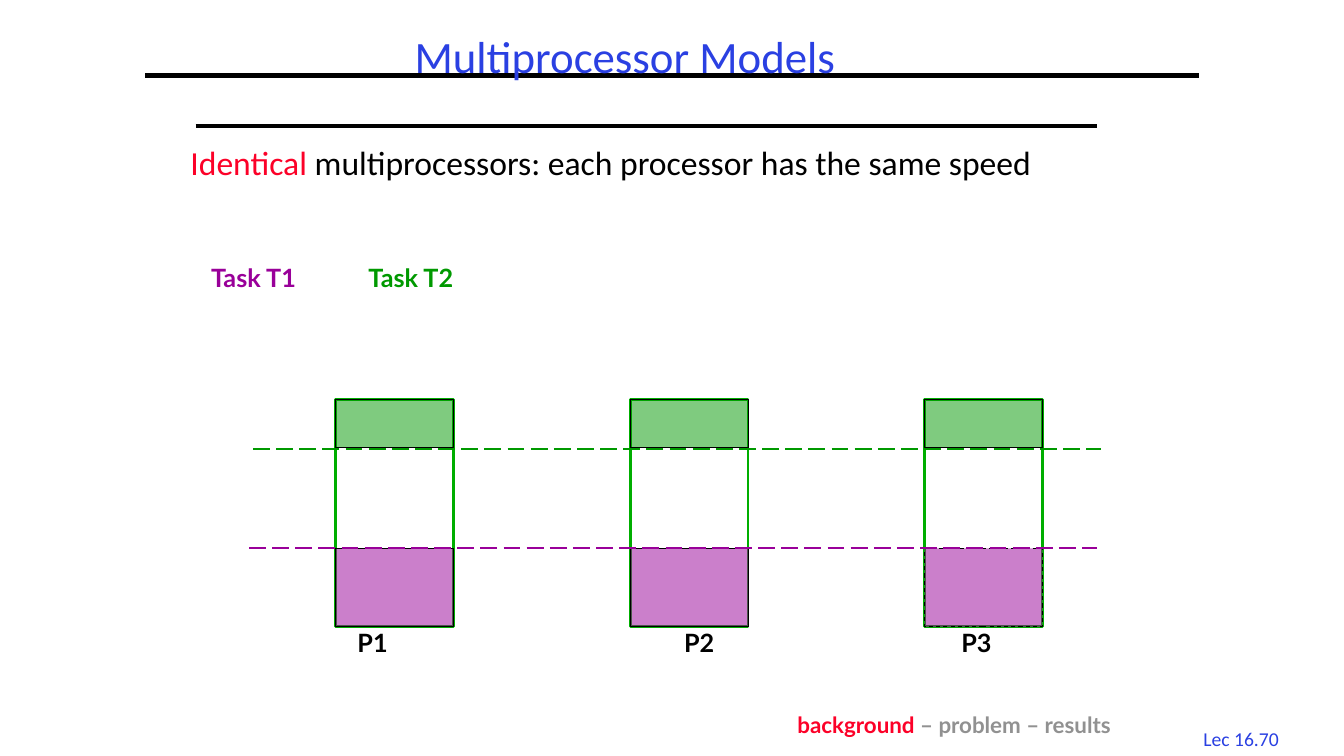
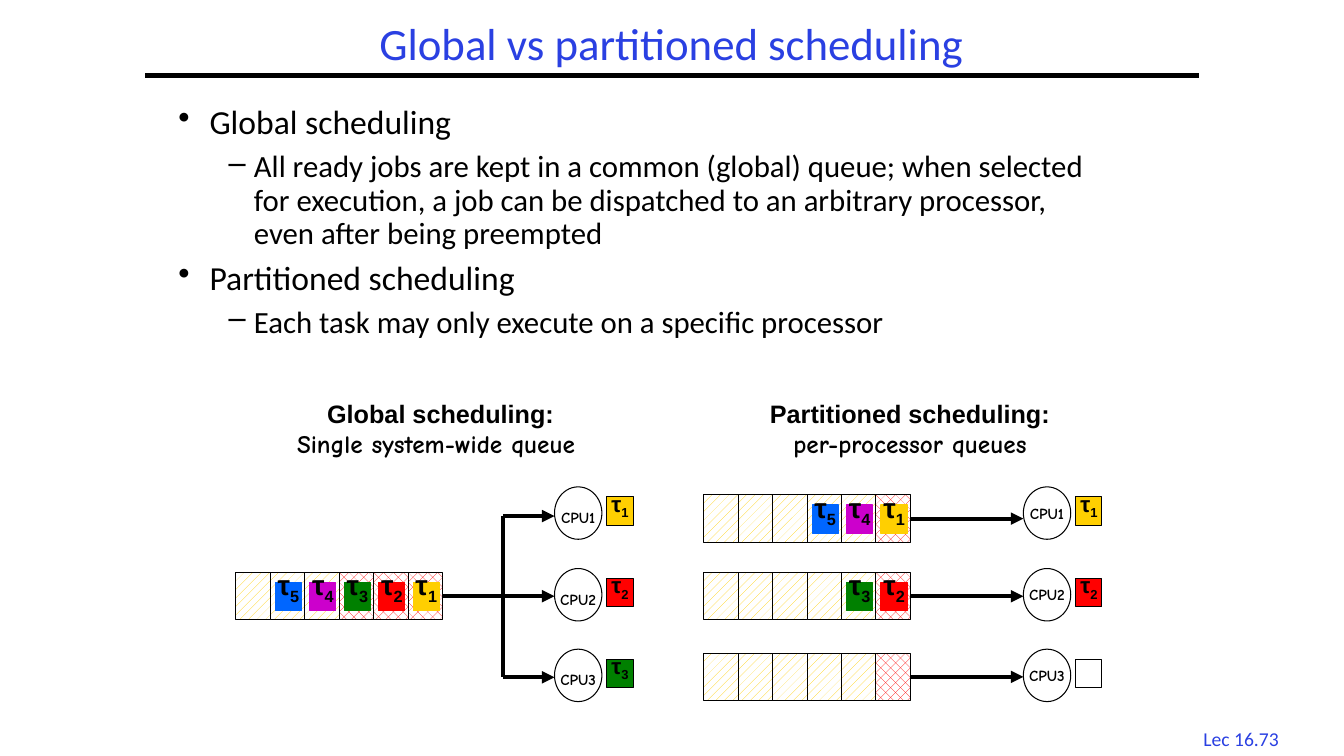
from lxml import etree
from pptx import Presentation
from pptx.dml.color import RGBColor
from pptx.enum.dml import MSO_LINE, MSO_PATTERN
from pptx.enum.shapes import MSO_CONNECTOR, MSO_SHAPE
from pptx.enum.text import MSO_ANCHOR, PP_ALIGN
from pptx.oxml.ns import qn
from pptx.util import Inches, Pt

RECTANGLE, OVAL = MSO_SHAPE.RECTANGLE, MSO_SHAPE.OVAL
LINE = MSO_CONNECTOR.STRAIGHT
DASH, LONG_DASH = MSO_LINE.DASH, MSO_LINE.LONG_DASH
SPARSE, DENSE = MSO_PATTERN.PERCENT_20, MSO_PATTERN.PERCENT_30
LEFT, CENTER, RIGHT = PP_ALIGN.LEFT, PP_ALIGN.CENTER, PP_ALIGN.RIGHT
TOP, MIDDLE, BOTTOM = MSO_ANCHOR.TOP, MSO_ANCHOR.MIDDLE, MSO_ANCHOR.BOTTOM

color = RGBColor.from_string
BLACK, WHITE, GRAY = "000000", "FFFFFF", "919191"
BLUE, CRIMSON = "2A40E2", "FC0128"
PURPLE, GREEN, BRIGHT_GREEN = "990099", "009900", "00AE00"
YELLOW, RED = "FFCF01", "FF0000"
JOB_COLORS = {1: YELLOW, 2: RED, 3: "008000", 4: "CC00CC", 5: "0066FF"}
BODY, LABEL, HEADING, HAND = "Calibri", "Lato", "Arial", "Comic Neue"


def write_text(shape, paragraphs, font=BODY, size=24, text_color=BLACK, bold=False,
               align=LEFT, anchor=TOP, wrap=True, spacing=1.0):
    """Each paragraph is a list of runs: (text, {overrides})."""
    frame = shape.text_frame
    frame.word_wrap = wrap
    frame.vertical_anchor = anchor
    for index, runs in enumerate(paragraphs):
        paragraph = frame.add_paragraph() if index else frame.paragraphs[0]
        paragraph.alignment = align
        paragraph.line_spacing = spacing
        for text, changes in runs:
            run = paragraph.add_run()
            run.text = text
            run.font.name = changes.get("font", font)
            run.font.size = Pt(changes.get("size", size))
            run.font.bold = bold
            run.font.color.rgb = color(changes.get("color", text_color))
            if changes.get("subscript"):
                run._r.get_or_add_rPr().set("baseline", "-25000")
    return frame


def draw(slide, kind, left, top, width, height, fill=None, pattern=None, alpha=None,
         line=BLACK, weight=0.75, dash=None, arrow=False):
    """Draw a shape, or a line across the given box, and return it."""
    is_line = kind is LINE  # enum members of both kinds can be equal as numbers
    if is_line:
        shape = slide.shapes.add_connector(kind, Inches(left), Inches(top),
                                           Inches(left + width), Inches(top + height))
    else:
        shape = slide.shapes.add_shape(kind, Inches(left), Inches(top),
                                       Inches(width), Inches(height))
        shape.shadow.inherit = False
        if pattern:
            shape.fill.patterned()
            shape.fill.pattern = pattern
            shape.fill.fore_color.rgb = color(fill)
            shape.fill.back_color.rgb = color(WHITE)
        elif fill:
            shape.fill.solid()
            shape.fill.fore_color.rgb = color(fill)
        else:
            shape.fill.background()
        if alpha:
            tint = shape._element.spPr.find(qn("a:solidFill"))[0]
            etree.SubElement(tint, qn("a:alpha"), val=str(alpha * 1000))
    shape.line.color.rgb = color(line)
    shape.line.width = Pt(weight)
    if dash:
        shape.line.dash_style = dash
    if arrow:
        outline = shape._element.spPr.find(qn("a:ln"))
        etree.SubElement(outline, qn("a:tailEnd"), type="triangle")
    if is_line:
        etree.SubElement(shape._element.spPr, qn("a:effectLst"))
    return shape


presentation = Presentation()
presentation.slide_width = Inches(13.33)
presentation.slide_height = Inches(7.5)

# Shared frame: rule, title and lecture number
slides = []
for title, title_box, lecture in [
    ("Multiprocessor Models", (1.92, 0.17, 8.56, 0.83), "Lec 16.70"),
    ("Global vs partitioned scheduling", (1.44, 0.17, 10.44, 0.58), "Lec 16.73"),
]:
    slide = presentation.slides.add_slide(presentation.slide_layouts[6])
    slides.append(slide)
    draw(slide, LINE, 1.44, 0.75, 10.45, 0, weight=3)
    write_text(slide.shapes.add_textbox(*map(Inches, title_box)), [[(title, {})]],
               size=32, text_color=BLUE, align=CENTER, anchor=MIDDLE, spacing=0.9)
    write_text(slide.shapes.add_textbox(*map(Inches, (11.77, 7.16, 1.08, 0.33))),
               [[(lecture, {})]], size=14, text_color=BLUE, align=CENTER, wrap=False)
models, scheduling = slides

# Models: statement and progress footer
draw(models, LINE, 1.94, 1.25, 8.94, 0, weight=2.25)
write_text(models.shapes.add_textbox(*map(Inches, (1.79, 1.26, 9.88, 1.17))),
           [[("Identical", {"color": CRIMSON}),
             (" multiprocessors: each processor has the same speed", {})]], spacing=1.25)
write_text(models.shapes.add_textbox(*map(Inches, (6.06, 7.01, 5.11, 0.36))),
           [[("background", {"color": CRIMSON}), (" – problem – results ", {})]],
           font=LABEL, size=16, text_color=GRAY, bold=True, align=RIGHT, anchor=BOTTOM)

# Models: processors with the share that each task uses
for index in range(3):
    left = 3.33 + index * 2.92
    draw(models, RECTANGLE, left, 3.96, 1.17, 2.26, line=BRIGHT_GREEN, weight=2)
    draw(models, RECTANGLE, left, 5.44, 1.17, 0.78, fill=PURPLE, alpha=50,
         dash=DASH if index == 2 else None)
    draw(models, RECTANGLE, left, 3.96, 1.17, 0.48, fill=GREEN, alpha=50)
draw(models, LINE, 2.47, 5.44, 8.41, 0, line=PURPLE, weight=1.5, dash=LONG_DASH)
draw(models, LINE, 2.51, 4.45, 8.41, 0, line=GREEN, weight=1.5, dash=LONG_DASH)

# Models: task and processor labels
for label, left, top, width, label_color in [
    ("Task T1", 1.96, 2.52, 1.11, PURPLE),
    ("Task T2", 3.52, 2.52, 1.11, GREEN),
    ("P1", 3.44, 6.14, 0.51, BLACK),
    ("P2", 6.68, 6.14, 0.51, BLACK),
    ("P3", 9.43, 6.14, 0.51, BLACK),
]:
    write_text(models.shapes.add_textbox(*map(Inches, (left, top, width, 0.4))),
               [[(label, {})]], font=LABEL, size=18, text_color=label_color, bold=True,
               align=CENTER, wrap=False, spacing=1.1)

# Scheduling: two-level outline
outline = [
    (0, "Global scheduling"),
    (1, "All ready jobs are kept in a common (global) queue; when selected for execution, "
        "a job can be dispatched to an arbitrary processor, even after being preempted"),
    (0, "Partitioned scheduling"),
    (1, "Each task may only execute on a specific processor"),
]
LEVELS = [("•", 24, 0.31, 0.31), ("–", 22, 0.75, 0.25)]
frame = write_text(scheduling.shapes.add_textbox(*map(Inches, (1.67, 1, 9.42, 5.7))),
                   [[(text, {"size": LEVELS[level][1]})] for level, text in outline],
                   spacing=0.9)
for paragraph, (level, text) in zip(frame.paragraphs, outline):
    bullet, size, margin, hanging = LEVELS[level]
    paragraph.level = level
    if text != outline[0][1]:
        paragraph.space_before = Pt(size * 0.3)
    properties = paragraph._p.get_or_add_pPr()
    properties.set("marL", str(Inches(margin)))
    properties.set("indent", str(-Inches(hanging)))
    etree.SubElement(properties, qn("a:buChar"), char=bullet)

# Scheduling: diagram headings
for heading, note, left, width in [
    ("Global scheduling:", "Single system-wide queue ", 2.64, 3.46),
    ("Partitioned scheduling:", "per-processor queues", 7.52, 3.01),
]:
    write_text(scheduling.shapes.add_textbox(*map(Inches, (left, 3.9, width, 0.71))),
               [[(heading, {})], [(note, {"font": HAND})]],
               font=HEADING, size=18, bold=True, align=CENTER, wrap=False)

# Scheduling: queues, jobs listed from the head at the right
CELLS, CELL_WIDTH, CELL_HEIGHT = 6, 2.05 / 6, 0.47
CHIP_WIDTH, CHIP_HEIGHT = 0.26, 0.28
job_chips = []
for queue_left, queue_top, running, jobs, arrow_length in [
    (2.34, 5.68, 3, [1, 2, 3, 4, 5], 1.11),
    (6.98, 4.91, 1, [1, 4, 5], 1.12),
    (6.98, 5.68, 1, [2, 3], 1.12),
    (6.98, 6.48, 1, [], 1.12),
]:
    for index in range(CELLS):
        is_running = index >= CELLS - running
        cell = draw(scheduling, RECTANGLE, queue_left + index * CELL_WIDTH, queue_top,
                    CELL_WIDTH, CELL_HEIGHT, fill=RED if is_running else YELLOW,
                    pattern=DENSE if is_running else SPARSE)
    arrow = draw(scheduling, LINE, queue_left + CELLS * CELL_WIDTH,
                 queue_top + CELL_HEIGHT / 2, arrow_length, 0, weight=3, arrow=True)
    arrow.begin_connect(cell, 3)
    for place, job in enumerate(jobs, start=1):
        job_chips.append((queue_left + (CELLS - place) * CELL_WIDTH + 0.05,
                          queue_top + 0.1, job, 20))

# Scheduling: branches from the global queue
draw(scheduling, LINE, 4.99, 5.12, 0, 1.6, weight=3)
for top in (5.12, 6.72):
    draw(scheduling, LINE, 4.99, top, 0.51, 0, weight=3, arrow=True)

# Scheduling: processors and the job each one runs
for cpu_left, anchor, running_jobs in [(5.5, BOTTOM, [1, 2, 3]),
                                       (10.15, MIDDLE, [1, 2, None])]:
    for number, (cpu_top, job) in enumerate(zip((4.83, 5.64, 6.44), running_jobs), start=1):
        cpu = draw(scheduling, OVAL, cpu_left, cpu_top, 0.47, 0.52, fill=WHITE)
        write_text(cpu, [[(f"CPU{number}", {})]], font=HAND, size=11, bold=True,
                   align=CENTER, anchor=anchor, wrap=False)
        job_chips.append((cpu_left + 0.52, cpu_top + 0.1, job, 16))

# Scheduling: job chips, outlined beside the processors
for left, top, job, size in job_chips:
    chip_color = JOB_COLORS.get(job, WHITE)
    chip = draw(scheduling, RECTANGLE, left, top, CHIP_WIDTH, CHIP_HEIGHT, fill=chip_color,
                line=BLACK if size == 16 else chip_color)
    if job:
        write_text(chip, [[("τ", {}), (str(job), {"subscript": True})]], font=HEADING,
                   size=size, bold=True, align=CENTER, anchor=BOTTOM, wrap=False)

presentation.save("out.pptx")
